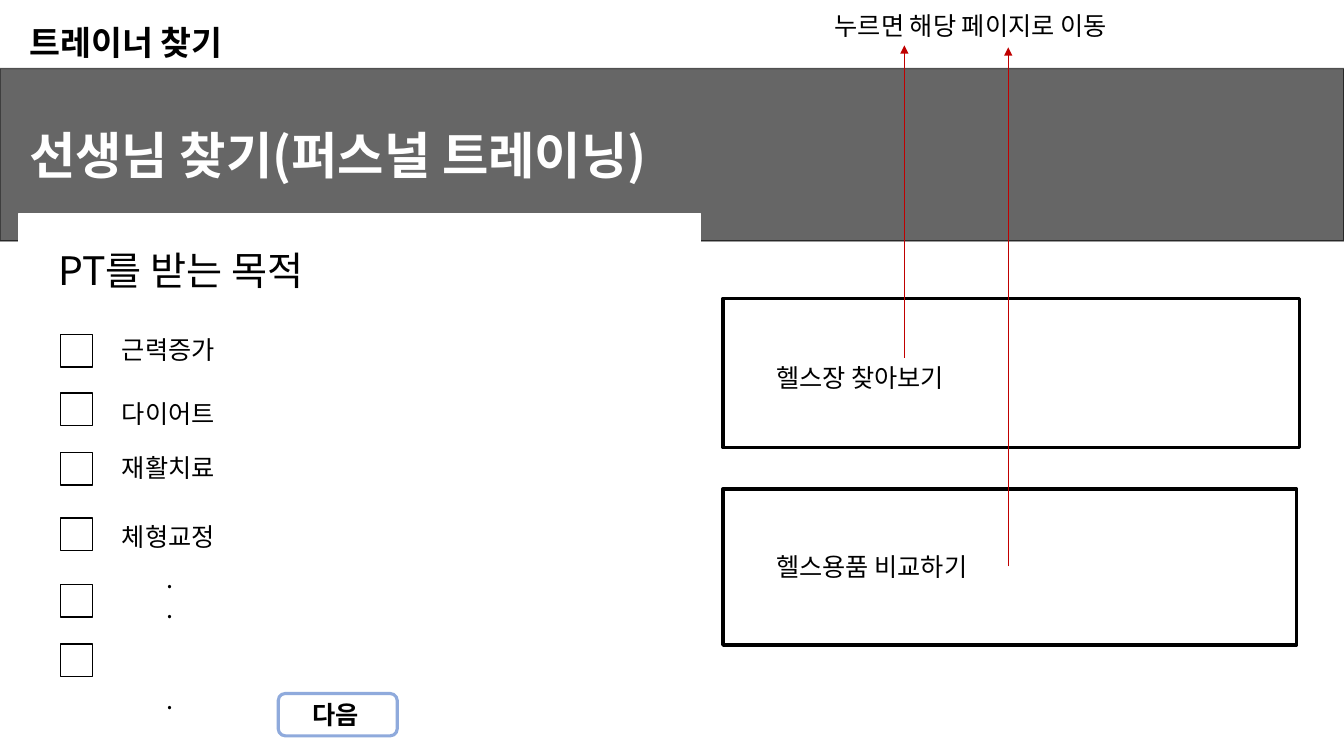
from dataclasses import dataclass

from lxml import etree
from pptx import Presentation
from pptx.dml.color import RGBColor
from pptx.enum.shapes import MSO_CONNECTOR, MSO_SHAPE
from pptx.enum.text import MSO_ANCHOR, MSO_AUTO_SIZE, PP_ALIGN
from pptx.oxml.ns import qn
from pptx.util import Inches, Pt

RECTANGLE = MSO_SHAPE.RECTANGLE
ROUNDED = MSO_SHAPE.ROUNDED_RECTANGLE
STRAIGHT = MSO_CONNECTOR.STRAIGHT
TOP = MSO_ANCHOR.TOP
LEFT = PP_ALIGN.LEFT
GROW = MSO_AUTO_SIZE.SHAPE_TO_FIT_TEXT


@dataclass(frozen=True)
class Theme:
    """Colours, font and type sizes of the deck."""
    font: str = "Noto Sans CJK KR"
    ink: str = "000000"
    paper: str = "FFFFFF"
    arrow: str = "C00000"
    button: str = "8FAADC"
    banner: int = 36
    heading: int = 28
    title: int = 24
    body: int = 18
    band_alpha: int = 60


THEME = Theme()


def style_text(frame, size, color=THEME.ink, bold=False):
    """Format every run of a frame that grows with its unwrapped text."""
    frame.word_wrap = False
    frame.auto_size = GROW
    frame.vertical_anchor = TOP
    for para in frame.paragraphs:
        para.alignment = LEFT
        for span in para.runs:
            span.font.name = THEME.font
            span.font.size = Pt(size)
            span.font.bold = bold
            span.font.color.rgb = RGBColor.from_string(color)
            east_asian = etree.SubElement(span.font._element, qn("a:ea"))
            east_asian.set("typeface", THEME.font)


def add_label(shapes, text, box, size=THEME.body, color=THEME.ink, bold=False):
    """Add a text box and return its frame."""
    frame = shapes.add_textbox(*map(Inches, box)).text_frame
    frame.text = text
    style_text(frame, size, color, bold)
    return frame


def add_panel(shapes, kind, box, line, width=1, fill=None):
    """Add a flat outlined shape, filled when a colour is given."""
    panel = shapes.add_shape(kind, *map(Inches, box))
    panel.shadow.inherit = False
    panel.line.color.rgb = RGBColor.from_string(line)
    panel.line.width = Pt(width)
    if fill:
        panel.fill.solid()
        panel.fill.fore_color.rgb = RGBColor.from_string(fill)
    else:
        panel.fill.background()
    return panel


def add_title(page, box):
    """Place the page title in the given box."""
    title = page.shapes.title
    title.left, title.top, title.width, title.height = map(Inches, box)
    title.text_frame.text = "트레이너 찾기"
    style_text(title.text_frame, THEME.title, bold=True)


def add_banner(page, box):
    """Draw the translucent band with its white heading."""
    left, top, _, _ = box
    band = add_panel(page.shapes, RECTANGLE, box, THEME.ink, fill=THEME.ink)
    for color in band._element.spPr.iter(qn("a:srgbClr")):
        alpha = etree.SubElement(color, qn("a:alpha"))
        alpha.set("val", str(THEME.band_alpha * 1000))
    add_label(page.shapes, "선생님 찾기(퍼스널 트레이닝)", (left + 0.19, top + 0.5, 6.98, 0.71),
              THEME.banner, THEME.paper, True)


def add_purpose_form(page, box):
    """Draw the checklist of training purposes on a white sheet."""
    left, top, _, _ = box
    shapes = page.shapes
    add_panel(shapes, RECTANGLE, box, THEME.paper, fill=THEME.paper)
    add_label(shapes, "PT를 받는 목적", (left + 0.29, top + 0.27, 2.88, 0.57), THEME.heading)
    for check_top in (1.2, 1.78, 2.37, 3.02, 3.68, 4.27):
        add_panel(shapes, RECTANGLE, (left + 0.41, top + check_top, 0.32, 0.32),
                  THEME.ink, fill=THEME.paper)
    purposes = (("근력증가", 1.15), ("다이어트", 1.78), ("재활치료", 2.32), ("체형교정", 3.0))
    for purpose, label_top in purposes:
        add_label(shapes, purpose, (left + 0.92, top + label_top, 1.21, 0.4))
    add_ellipsis(page, (left + 1.46, top + 3.47, 0.07, 1.5))


def add_ellipsis(page, box):
    """Stack three dots that show the list goes on."""
    pitch = 21.6
    frame = add_label(page.shapes, ".\n.\n.", box)
    frame.margin_left = frame.margin_right = frame.margin_top = frame.margin_bottom = 0
    for para in frame.paragraphs:
        para.line_spacing = Pt(pitch)
    frame.paragraphs[2].space_before = Pt(2 * pitch)


def add_link_card(page, box, text, label_top, label_width):
    """Draw an outlined card with its link label."""
    left, top, _, _ = box
    add_panel(page.shapes, RECTANGLE, box, THEME.ink, 2.5)
    add_label(page.shapes, text, (left + 0.43, top + label_top, label_width, 0.4))


def add_arrow(page, x, start, end):
    """Draw a vertical red arrow from start to end."""
    arrow = page.shapes.add_connector(STRAIGHT, *map(Inches, (x, start, x, end)))
    arrow.line.color.rgb = RGBColor.from_string(THEME.arrow)
    arrow.line.width = Pt(1)
    etree.SubElement(arrow.line._get_or_add_ln(), qn("a:tailEnd")).set("type", "triangle")
    etree.SubElement(arrow._element.spPr, qn("a:effectLst"))


def add_navigation_note(page, box):
    """Draw the two arrows and the note they point to."""
    left, top, width, height = box
    bottom = top + height
    add_arrow(page, left + 0.79, 3.55, bottom)
    add_arrow(page, left + 1.82, 5.62, bottom + 0.02)
    add_label(page.shapes, "누르면 해당 페이지로 이동", box)


def add_next_button(page, box):
    """Group the rounded button with its label."""
    left, top, _, _ = box
    shapes = page.shapes.add_group_shape().shapes
    add_panel(shapes, ROUNDED, box, THEME.button, 2.25)
    add_label(shapes, "다음", (left + 0.24, top + 0.01, 0.71, 0.4), bold=True)


def build_trainer_page(deck):
    """Compose the trainer search page."""
    page = deck.slides.add_slide(deck.slide_layouts.get_by_name("Title Only"))
    add_title(page, (0.19, 0.17, 2.34, 0.5))
    add_banner(page, (0, 0.68, 13.33, 1.71))
    add_purpose_form(page, (0.19, 2.12, 6.76, 5.18))
    add_link_card(page, (7.17, 2.96, 5.72, 1.48), "헬스장 찾아보기", 0.59, 2.06)
    add_link_card(page, (7.17, 4.85, 5.69, 1.55), "헬스용품 비교하기", 0.57, 2.4)
    add_navigation_note(page, (8.18, 0.05, 3.25, 0.4))
    add_next_button(page, (2.76, 6.88, 1.18, 0.42))


def main():
    """Build and save the deck."""
    deck = Presentation()
    deck.slide_width, deck.slide_height = Inches(13.33), Inches(7.5)
    build_trainer_page(deck)
    deck.save("out.pptx")


if __name__ == "__main__":
    main()
